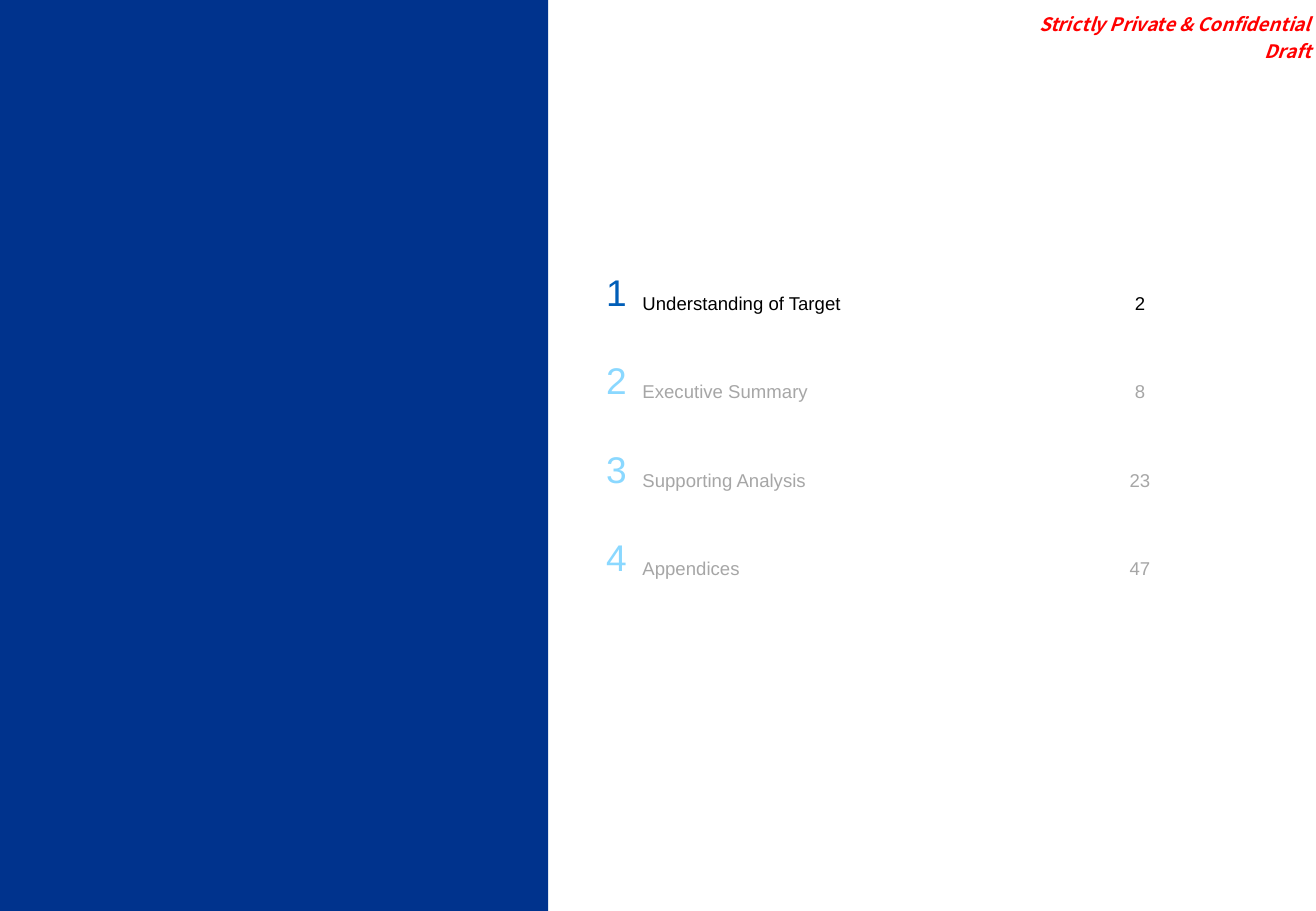
from dataclasses import dataclass

from pptx import Presentation
from pptx.dml.color import RGBColor
from pptx.enum.shapes import MSO_SHAPE
from pptx.enum.text import MSO_ANCHOR, PP_ALIGN
from pptx.util import Cm, Pt

RECTANGLE = MSO_SHAPE.RECTANGLE
MIDDLE, BOTTOM = MSO_ANCHOR.MIDDLE, MSO_ANCHOR.BOTTOM
LEFT, CENTER, RIGHT = PP_ALIGN.LEFT, PP_ALIGN.CENTER, PP_ALIGN.RIGHT

COLORS = {
    "panel": "00338D",
    "notice": "FF0000",
    "current_number": "005EB8",
    "other_number": "8AD8FF",
    "current_text": "000000",
    "other_text": "A6A6A6",
}


@dataclass(frozen=True)
class Section:
    title: str
    page: int


@dataclass(frozen=True)
class Column:
    width: float
    align: PP_ALIGN
    size: int
    role: str
    margins: tuple[float, float, float, float]


SECTIONS = [
    Section("Understanding of Target", 2),
    Section("Executive Summary", 8),
    Section("Supporting Analysis", 23),
    Section("Appendices", 47),
]
COLUMNS = [
    Column(1.32, RIGHT, 22, "number", (0.23, 0.13, 0.23, 0.13)),
    Column(9.88, LEFT, 11, "text", (0.1, 0.56, 0, 0.13)),
    Column(1.24, CENTER, 11, "text", (0.23, 0.56, 0.23, 0.13)),
]
NOTICE_LINES = ["Strictly Private & Confidential", "Draft"]
CURRENT_SECTION = 1
ROW_HEIGHT = 1.85
SIDES = ("margin_left", "margin_top", "margin_right", "margin_bottom")
NOTICE_FONT = {"name": "Noto Sans CJK KR", "size": Pt(11), "bold": True, "italic": True}


def apply(target, values: dict) -> None:
    for attribute, value in values.items():
        setattr(target, attribute, value)


def margins(lengths: tuple[float, float, float, float]) -> dict:
    return {side: Cm(length) for side, length in zip(SIDES, lengths)}


def write(paragraph, text: str, align: PP_ALIGN, color: str, font: dict) -> None:
    run = paragraph.add_run()
    run.text = text
    paragraph.alignment = align
    apply(run.font, font)
    run.font.color.rgb = RGBColor.from_string(COLORS[color])


def draw_panel(slide, height: int) -> None:
    panel = slide.shapes.add_shape(RECTANGLE, 0, 0, Cm(11.46), height)
    panel.shadow.inherit = False
    panel.fill.solid()
    panel.fill.fore_color.rgb = RGBColor.from_string(COLORS["panel"])
    panel.line.fill.background()


def draw_notice(slide) -> None:
    notice = slide.shapes.add_textbox(Cm(20.62), 0, Cm(6.89), Cm(1.4)).text_frame
    apply(notice, {"word_wrap": True, "vertical_anchor": BOTTOM, **margins((0, 0.1, 0.1, 0.1))})
    for index, line in enumerate(NOTICE_LINES):
        paragraph = notice.add_paragraph() if index else notice.paragraphs[0]
        if index:
            paragraph.space_before = Pt(3)
        write(paragraph, line, RIGHT, "notice", NOTICE_FONT)


def draw_contents(slide) -> None:
    width = sum(column.width for column in COLUMNS)
    contents = slide.shapes.add_table(
        len(SECTIONS), len(COLUMNS), Cm(12.01), Cm(5.21), Cm(width), Cm(ROW_HEIGHT * len(SECTIONS))
    ).table
    apply(contents, {"first_row": False, "horz_banding": False})
    for column, grid_column in zip(COLUMNS, contents.columns):
        grid_column.width = Cm(column.width)
    for number, section in enumerate(SECTIONS, start=1):
        contents.rows[number - 1].height = Cm(ROW_HEIGHT)
        state = "current" if number == CURRENT_SECTION else "other"
        entries = (number, section.title, section.page)
        for index, (column, entry) in enumerate(zip(COLUMNS, entries)):
            cell = contents.cell(number - 1, index)
            cell.fill.background()
            apply(cell, {"vertical_anchor": MIDDLE, **margins(column.margins)})
            font = {"name": "Arial", "size": Pt(column.size)}
            write(cell.text_frame.paragraphs[0], str(entry), column.align, f"{state}_{column.role}", font)


def main() -> None:
    presentation = Presentation()
    apply(presentation, {"slide_width": Cm(27.51), "slide_height": Cm(19.05)})
    slide = presentation.slides.add_slide(presentation.slide_layouts[6])
    draw_panel(slide, presentation.slide_height)
    draw_notice(slide)
    draw_contents(slide)
    presentation.save("out.pptx")


if __name__ == "__main__":
    main()
